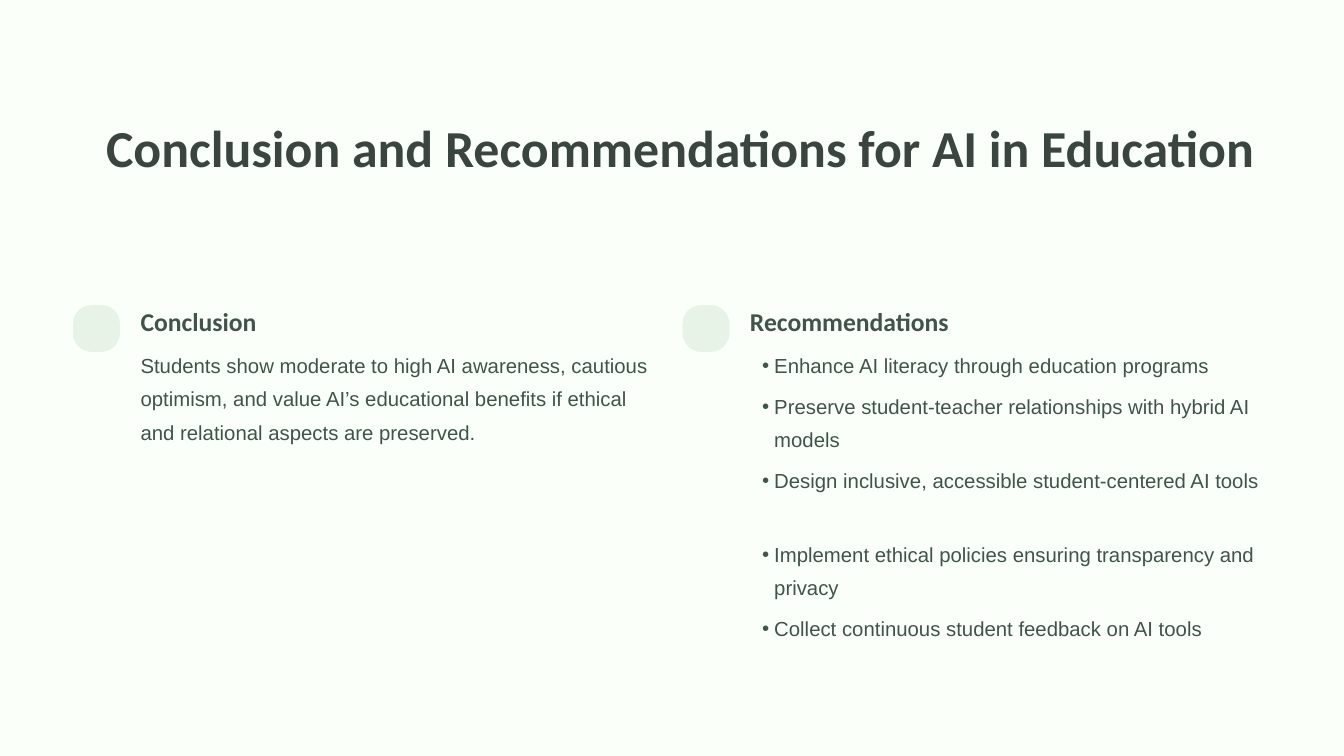
from lxml import etree
from pptx import Presentation
from pptx.dml.color import RGBColor
from pptx.enum.shapes import MSO_SHAPE
from pptx.enum.text import MSO_ANCHOR, MSO_AUTO_SIZE, PP_ALIGN
from pptx.oxml.ns import qn
from pptx.util import Emu, Pt

# Content
TITLE = "Conclusion and Recommendations for AI in Education"
COLUMNS = [
    ("Conclusion", False, [
        ("Students show moderate to high AI awareness, cautious optimism, "
         "and value AI’s educational benefits if ethical and relational "
         "aspects are preserved.", 0),
    ]),
    # Each item: text, space before in points
    ("Recommendations", True, [
        ("Enhance AI literacy through education programs", 0),
        ("Preserve student-teacher relationships with hybrid AI models", 8),
        ("Design inclusive, accessible student-centered AI tools", 8),
        ("Implement ethical policies ensuring transparency and privacy", 43.6),
        ("Collect continuous student feedback on AI tools", 8),
    ]),
]
COLORS = {"panel": "FAFFFA", "badge": "E8F3E8",
          "title": "3B4540", "text": "405449"}
# Style: font, size, line spacing, bold, colour
STYLES = {
    "title": ("Calibri", 55.6, 69.4, True, "title"),
    "heading": ("Calibri", 27.5, 34.4, True, "text"),
    "body": ("Arial", 21.8, 35.6, False, "text"),
}

# Layout in px
SCALE = 914400 / 67.2
WIDTH, HEIGHT = 1344, 756
COLUMN_LEFT, COLUMN_PITCH = 73, 609.5
BADGE, TEXT_OFFSET = 47, 67.5
TEXT_WIDTH, HEADING_TOP, BODY_TOP = 521, 304.5, 344.6
BULLET_INDENT = 12.1


def px(n):
    return Emu(round(n * SCALE))


def rgb(name):
    return RGBColor.from_string(COLORS[name])


def place(sp, left, top, width, height):
    sp.left, sp.top, sp.width, sp.height = map(px, (left, top, width, height))


def add_filled(s, kind, left, top, width, height, color):
    sp = s.shapes.add_shape(kind, px(left), px(top), px(width), px(height))
    sp.shadow.inherit = False
    sp.fill.solid()
    sp.fill.fore_color.rgb = rgb(color)
    sp.line.fill.background()
    return sp


def set_bullet(p, bulleted):
    pPr = p._p.get_or_add_pPr()
    pPr.set("marL", str(px(2 * BULLET_INDENT if bulleted else 0)))
    pPr.set("indent", str(px(-BULLET_INDENT if bulleted else 0)))
    if bulleted:
        etree.SubElement(pPr, qn("a:buFont")).set("typeface", "Arial")
        etree.SubElement(pPr, qn("a:buChar")).set("char", "•")
    else:
        etree.SubElement(pPr, qn("a:buNone"))


def write(sp, items, style, bulleted=False):
    font, size, spacing, bold, color = STYLES[style]
    tf = sp.text_frame
    tf.word_wrap = True
    tf.auto_size = MSO_AUTO_SIZE.NONE
    tf.vertical_anchor = MSO_ANCHOR.TOP
    tf.margin_left = tf.margin_top = tf.margin_right = tf.margin_bottom = 0
    for i, (text, before) in enumerate(items):
        p = tf.paragraphs[0] if i == 0 else tf.add_paragraph()
        set_bullet(p, bulleted)
        p.alignment = PP_ALIGN.LEFT
        p.line_spacing = Pt(spacing)
        p.space_before, p.space_after = Pt(before), Pt(0)
        r = p.add_run()
        r.text = text
        r.font.name, r.font.size, r.font.bold = font, Pt(size), bold
        r.font.color.rgb = rgb(color)


prs = Presentation()
prs.slide_width, prs.slide_height = px(WIDTH), px(HEIGHT)
s = prs.slides.add_slide(prs.slide_layouts.get_by_name("Comparison"))

# Full-slide panel, sent behind the placeholders
panel = add_filled(s, MSO_SHAPE.RECTANGLE, 0, 0, WIDTH, HEIGHT, "panel")
s.shapes.title.element.addprevious(panel.element)

# Title
place(s.shapes.title, 106, 113, 1198, 131)
write(s.shapes.title, [(TITLE, 0)], "title")

# Columns: badge, heading and body
for i, (heading, bulleted, items) in enumerate(COLUMNS):
    left = COLUMN_LEFT + i * COLUMN_PITCH
    badge = add_filled(s, MSO_SHAPE.ROUNDED_RECTANGLE, left, 305,
                       BADGE, BADGE, "badge")
    badge.adjustments[0] = 0.4

    head, body = s.placeholders[1 + 2 * i], s.placeholders[2 + 2 * i]
    place(head, left + TEXT_OFFSET, HEADING_TOP, TEXT_WIDTH, 33)
    write(head, [(heading, 0)], "heading")
    place(body, left + TEXT_OFFSET, BODY_TOP, TEXT_WIDTH, 301 if bulleted else 139)
    write(body, items, "body", bulleted)

# Remove any unused placeholders
for sp in list(s.placeholders):
    if sp.has_text_frame and not sp.text_frame.text:
        sp.element.getparent().remove(sp.element)

prs.save("out.pptx")
